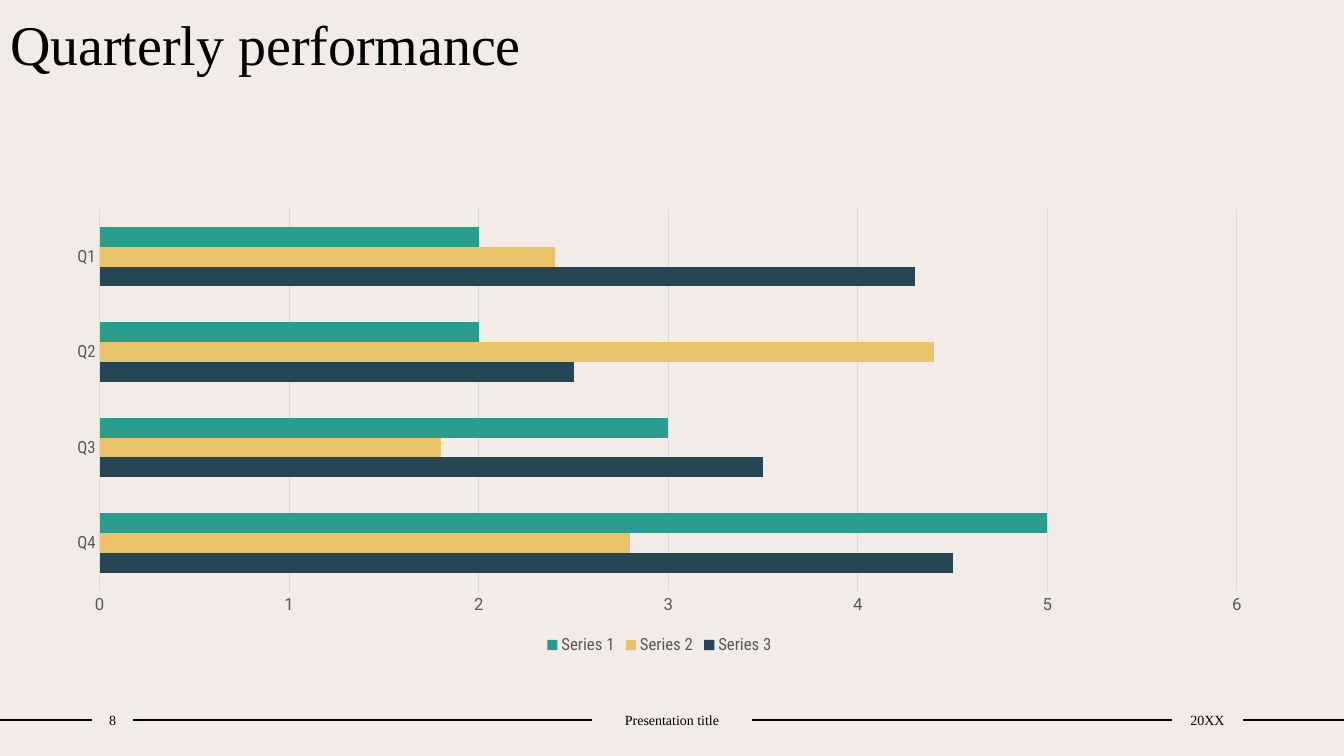
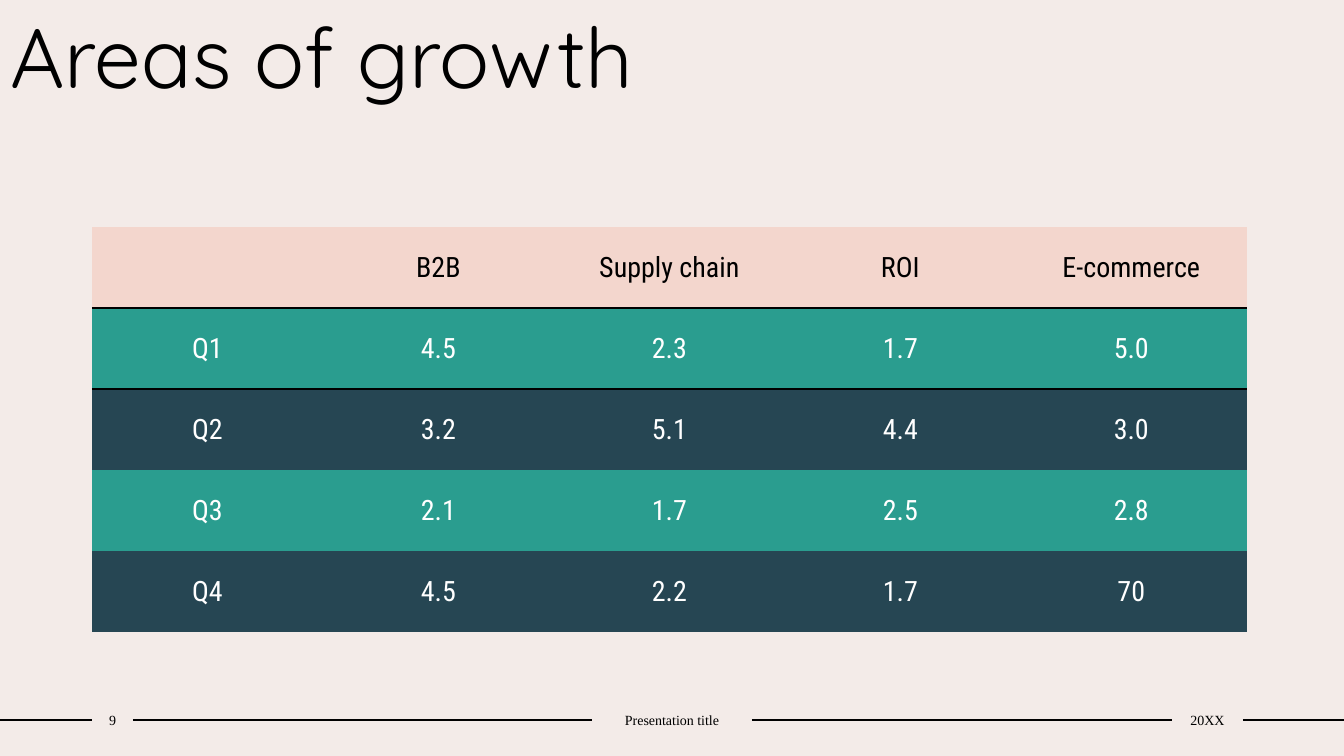
from lxml.etree import SubElement
from pptx import Presentation
from pptx.chart.data import CategoryChartData
from pptx.dml.color import RGBColor
from pptx.enum.chart import XL_CHART_TYPE, XL_LEGEND_POSITION, XL_TICK_MARK
from pptx.enum.shapes import MSO_CONNECTOR
from pptx.enum.text import MSO_ANCHOR, MSO_AUTO_SIZE, PP_ALIGN
from pptx.oxml import parse_xml
from pptx.oxml.ns import nsdecls, qn
from pptx.util import Emu, Pt

# Shared style
SLIDE_W, SLIDE_H = 1344, 756
PX_PER_INCH = 100.8
PAPER, INK, WHITE = "F3EBE8", "000000", "FFFFFF"
TEAL, GOLD, NAVY, BLUSH = "2A9D8F", "E9C369", "264653", "F3D6CD"
GREY_TEXT, GREY_LINE = "595959", "D9D9D9"
SERIF, DISPLAY = "Times New Roman", "Quicksand"
CONDENSED, SANS = "Roboto Condensed", "Roboto"
TITLE_BOX = (0, -1, 1093, 112)
FOOTER_TOP, FOOTER_H = 706, 28
PLAIN_TABLE_STYLE = "{2D5ABB26-0587-4C30-8999-92F81FD0307C}"


def px(length):
    return Emu(round(length * 914400 / PX_PER_INCH))


def box_emu(box):
    return [px(length) for length in box]


def rgb(color):
    return RGBColor.from_string(color)


def style_font(font, size, name, color):
    font.size, font.name = Pt(size), name
    font.color.rgb = rgb(color)


def write_text(frame, text, size=10, name=SERIF, color=INK, align=PP_ALIGN.CENTER):
    paragraph = frame.paragraphs[0]
    paragraph.alignment = align
    run = paragraph.add_run()
    run.text = text
    style_font(run.font, size, name, color)


def add_title(slide, text, size, name, top_inset):
    title = slide.shapes.title
    title.left, title.top, title.width, title.height = box_emu(TITLE_BOX)
    frame = title.text_frame
    frame.word_wrap = True
    frame.auto_size = MSO_AUTO_SIZE.NONE
    frame.vertical_anchor = MSO_ANCHOR.TOP
    frame.margin_top = px(top_inset)
    write_text(frame, text, size=size, name=name, align=PP_ALIGN.LEFT)


def add_footer(slide, number):
    # Labels
    labels = []
    for text, left, width in (
        (number, 92, 41),
        ("Presentation title", 592, 160),
        ("20XX", 1172, 71),
    ):
        label = slide.shapes.add_textbox(*box_emu((left, FOOTER_TOP, width, FOOTER_H)))
        frame = label.text_frame
        frame.word_wrap = True
        frame.vertical_anchor = MSO_ANCHOR.MIDDLE
        frame.margin_left = frame.margin_right = 0
        write_text(frame, text)
        labels.append(label)

    # Rules running from edge to edge between the labels
    middle = px(FOOTER_TOP + FOOTER_H / 2)
    for before, after in zip([None] + labels, labels + [None]):
        rule = slide.shapes.add_connector(
            MSO_CONNECTOR.STRAIGHT, 0, middle, px(SLIDE_W), middle)
        if before is not None:
            rule.begin_connect(before, 3)
        if after is not None:
            rule.end_connect(after, 1)
        rule.line.color.rgb = rgb(INK)
        rule.line.width = Pt(1)
        SubElement(rule._element.spPr, qn("a:effectLst"))


def add_quarter_chart(slide, box):
    data = CategoryChartData()
    data.categories = ["Q4", "Q3", "Q2", "Q1"]
    series_rows = (
        ("Series 3", (4.5, 3.5, 2.5, 4.3), NAVY),
        ("Series 2", (2.8, 1.8, 4.4, 2.4), GOLD),
        ("Series 1", (5, 3, 2, 2), TEAL),
    )
    for name, values, _ in series_rows:
        data.add_series(name, values)
    chart = slide.shapes.add_chart(
        XL_CHART_TYPE.BAR_CLUSTERED, *box_emu(box), data).chart
    style_font(chart.font, 10, SERIF, INK)
    chart.has_title = False

    # Bars
    plot = chart.plots[0]
    plot.gap_width, plot.overlap = 182, 0
    plot.vary_by_categories = False
    for series, (_, _, color) in zip(plot.series, series_rows):
        series.format.fill.solid()
        series.format.fill.fore_color.rgb = rgb(color)

    # Axes
    quarters, scores = chart.category_axis, chart.value_axis
    for axis, name in ((quarters, CONDENSED), (scores, SANS)):
        axis.major_tick_mark = axis.minor_tick_mark = XL_TICK_MARK.NONE
        style_font(axis.tick_labels.font, 12, name, GREY_TEXT)
    scores.minimum_scale, scores.maximum_scale, scores.major_unit = 0, 6, 1
    scores.has_major_gridlines = True
    scores.format.line.fill.background()
    for line in (quarters.format.line, scores.major_gridlines.format.line):
        line.color.rgb = rgb(GREY_LINE)
        line.width = Pt(0.75)

    # Legend
    chart.has_legend = True
    chart.legend.position = XL_LEGEND_POSITION.BOTTOM
    chart.legend.include_in_layout = False
    style_font(chart.legend.font, 12, CONDENSED, GREY_TEXT)


def add_cell_border(cell, side):
    border = parse_xml(
        f'<a:{side} {nsdecls("a")} w="{Pt(1.5)}"><a:solidFill>'
        f'<a:srgbClr val="{INK}"/></a:solidFill></a:{side}>')
    cell._tc.get_or_add_tcPr().insert(0, border)


def add_growth_table(slide, box):
    rows = (
        ("", "B2B", "Supply chain", "ROI", "E-commerce"),
        ("Q1", "4.5", "2.3", "1.7", "5.0"),
        ("Q2", "3.2", "5.1", "4.4", "3.0"),
        ("Q3", "2.1", "1.7", "2.5", "2.8"),
        ("Q4", "4.5", "2.2", "1.7", "70"),
    )
    table = slide.shapes.add_table(len(rows), len(rows[0]), *box_emu(box)).table
    table.horz_banding = False
    table._tbl.tblPr.find(qn("a:tableStyleId")).text = PLAIN_TABLE_STYLE
    for r, values in enumerate(rows):
        band = BLUSH if r == 0 else (NAVY, TEAL)[r % 2]
        for c, value in enumerate(values):
            cell = table.cell(r, c)
            cell.vertical_anchor = MSO_ANCHOR.MIDDLE
            cell.fill.solid()
            cell.fill.fore_color.rgb = rgb(band)
            if value:
                write_text(cell.text_frame, value, size=20, name=CONDENSED,
                           color=WHITE if r else INK)
            # Rule between the header and the first quarter
            if r < 2:
                add_cell_border(cell, "lnT" if r else "lnB")


def add_page(prs, number, title, size, name, top_inset=5):
    slide = prs.slides.add_slide(prs.slide_layouts[5])
    add_title(slide, title, size, name, top_inset)
    add_footer(slide, number)
    return slide


def main():
    prs = Presentation()
    prs.slide_width, prs.slide_height = px(SLIDE_W), px(SLIDE_H)
    paper = prs.slide_master.background.fill
    paper.solid()
    paper.fore_color.rgb = rgb(PAPER)

    performance = add_page(prs, "8", "Quarterly performance", 40, SERIF, top_inset=11)
    add_quarter_chart(performance, (53, 200, 1213, 459))

    growth = add_page(prs, "9", "Areas of growth", 60, DISPLAY)
    add_growth_table(growth, (92, 227, 1155, 405))

    prs.save("out.pptx")


if __name__ == "__main__":
    main()
